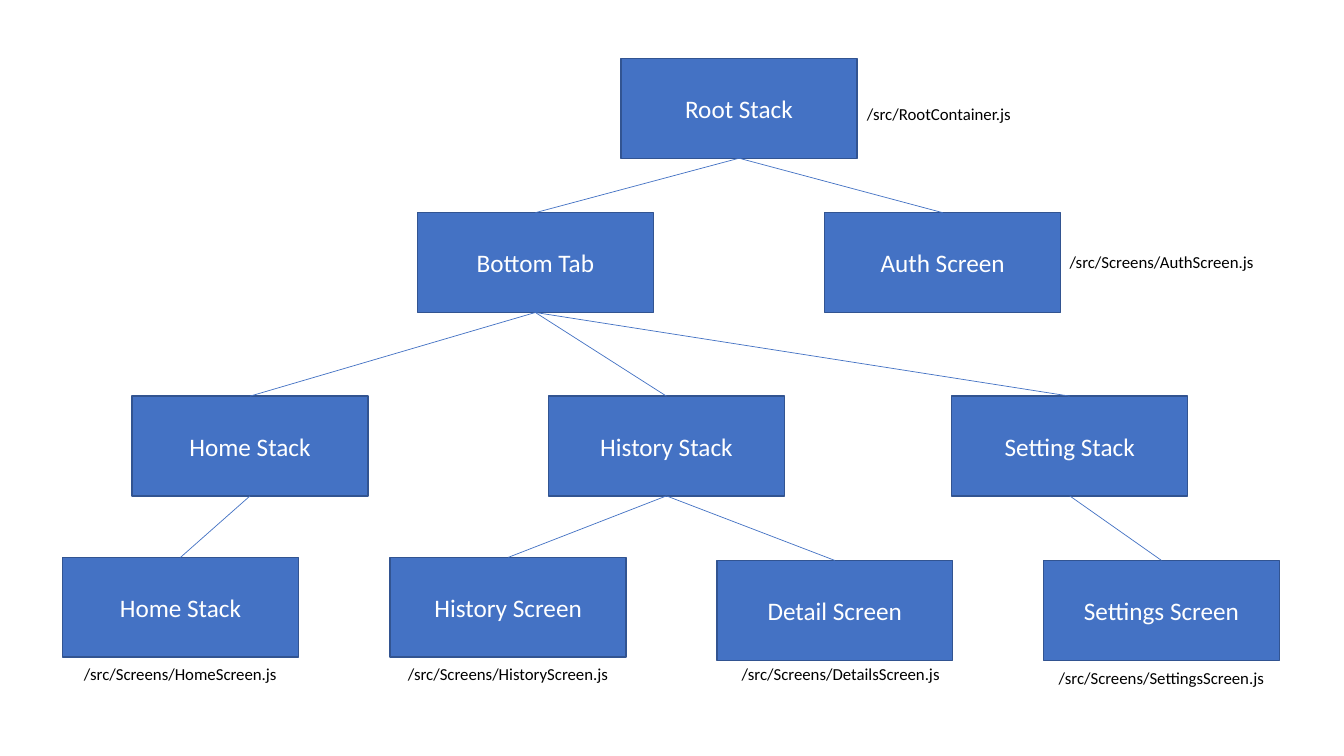
"""Draw the navigation tree of an app as boxes, links and file labels."""
import pptx
import pptx.dml.color
import pptx.enum.shapes
import pptx.enum.text
import pptx.util
from lxml import etree

PX = 9144
WIDE, HIGH = 234, 99
BLUE, EDGE, WHITE, BLACK = "4472C4", "325491", "FFFFFF", "000000"
ALIGN = pptx.enum.text.PP_ALIGN
ANCHOR = pptx.enum.text.MSO_ANCHOR

NODES = {
    "root": ("Root Stack", 616, 58, None),
    "tab": ("Bottom Tab", 414, 211, "root"),
    "auth": ("Auth Screen", 818, 211, "root"),
    "home": ("Home Stack", 131, 393, "tab"),
    "past": ("History Stack", 544, 393, "tab"),
    "setup": ("Setting Stack", 944, 393, "tab"),
    "home leaf": ("Home Stack", 62, 553, "home"),
    "past leaf": ("History Screen", 387, 553, "past"),
    "detail leaf": ("Detail Screen", 711, 556, "past"),
    "setup leaf": ("Settings Screen", 1035, 556, "setup"),
}
FILES = [
    ("/src/RootContainer.js", 850, 98, 190, ALIGN.LEFT),
    ("/src/Screens/AuthScreen.js", 1051, 245, 206, ALIGN.LEFT),
    ("/src/Screens/HomeScreen.js", 62, 654, WIDE, ALIGN.CENTER),
    ("/src/Screens/HistoryScreen.js", 387, 654, WIDE, ALIGN.CENTER),
    ("/src/Screens/DetailsScreen.js", 717, 654, WIDE, ALIGN.CENTER),
    ("/src/Screens/SettingsScreen.js", 1035, 658, WIDE, ALIGN.CENTER),
]


def px(*sizes):
    """Turn px lengths into EMU."""
    return [pptx.util.Emu(size * PX) for size in sizes]


def color(code):
    """Turn a hex string into a colour."""
    return pptx.dml.color.RGBColor.from_string(code)


def style(item, values):
    """Set each attribute named in a dict of format values."""
    for name, value in values.items():
        setattr(item, name, value)


def stroke(line, code, width):
    """Give a line its colour and width."""
    line.color.rgb = color(code)
    line.width = pptx.util.Pt(width)


def write(shape, text, size, code, align, anchor):
    """Put one styled line of text into a shape."""
    frame = shape.text_frame
    style(frame, {"word_wrap": True, "vertical_anchor": anchor})
    para = frame.paragraphs[0]
    para.alignment = align
    run = para.add_run()
    run.text = text
    style(run.font, {"name": "Calibri", "size": pptx.util.Pt(size)})
    run.font.color.rgb = color(code)


def add_box(slide, text, left, top):
    """Add one node of the tree."""
    kind = pptx.enum.shapes.MSO_SHAPE.RECTANGLE
    box = slide.shapes.add_shape(kind, *px(left, top, WIDE, HIGH))
    box.shadow.inherit = False
    box.fill.solid()
    box.fill.fore_color.rgb = color(BLUE)
    stroke(box.line, EDGE, 1)
    write(box, text, 18, WHITE, ALIGN.CENTER, ANCHOR.MIDDLE)
    return box


def add_link(slide, upper, lower):
    """Join the bottom of one box to the top of another."""
    kind = pptx.enum.shapes.MSO_CONNECTOR.STRAIGHT
    link = slide.shapes.add_connector(kind, 0, 0, 0, 0)
    link.begin_connect(upper, 2)
    link.end_connect(lower, 0)
    stroke(link.line, BLUE, 0.5)
    etree.SubElement(link._element.spPr, pptx.oxml.ns.qn("a:effectLst"))


def add_label(slide, text, left, top, width, align):
    """Add the file name that goes with a node."""
    label = slide.shapes.add_textbox(*px(left, top, width, 30))
    write(label, text, 12, BLACK, align, ANCHOR.TOP)
    label.text_frame.auto_size = pptx.enum.text.MSO_AUTO_SIZE.SHAPE_TO_FIT_TEXT


def main():
    """Build and save the slide."""
    deck = pptx.Presentation()
    deck.slide_width, deck.slide_height = px(1333, 750)
    slide = deck.slides.add_slide(deck.slide_layouts[6])
    boxes = {}
    for key, (text, left, top, parent) in NODES.items():
        boxes[key] = add_box(slide, text, left, top)
        if parent:
            add_link(slide, boxes[parent], boxes[key])
    for entry in FILES:
        add_label(slide, *entry)
    deck.save("out.pptx")


if __name__ == "__main__":
    main()
